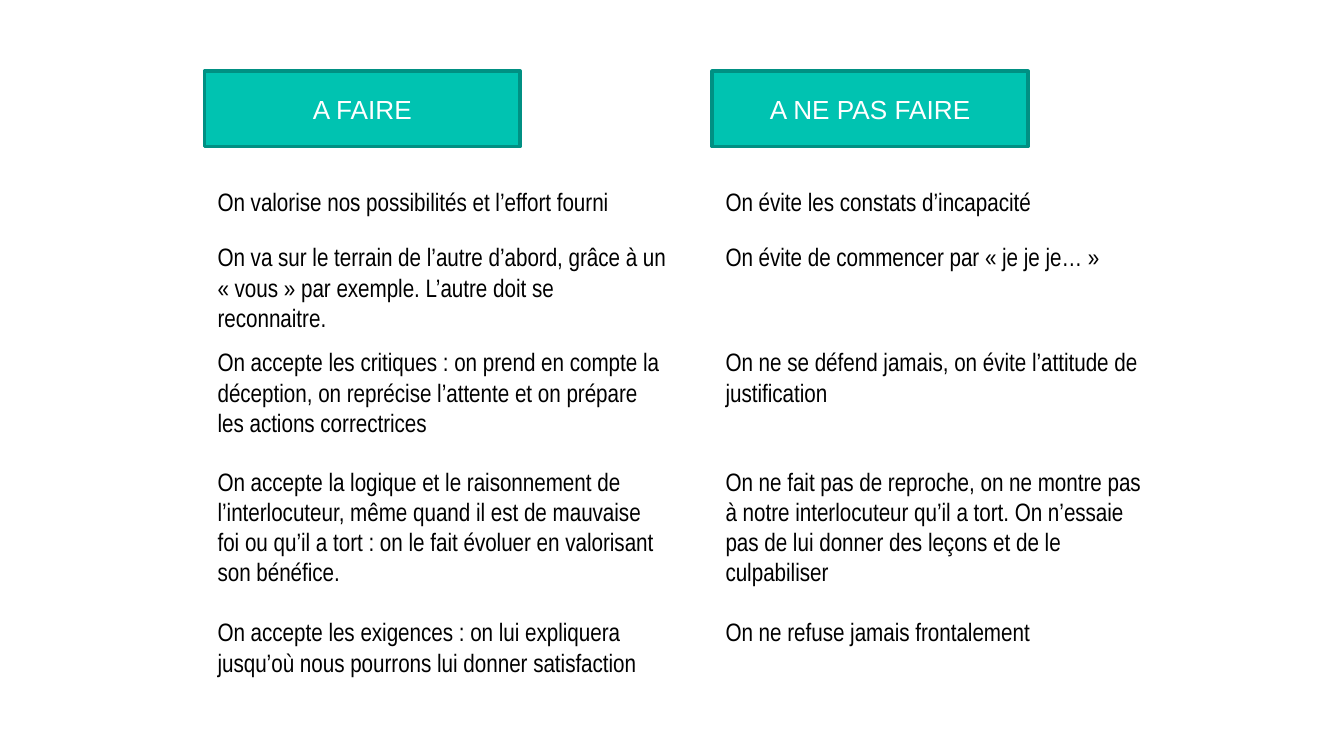
from dataclasses import dataclass

from pptx import Presentation
from pptx import util as u
from pptx.dml.color import RGBColor
from pptx.enum import shapes, text


@dataclass(frozen=True)
class Theme:
    fill: RGBColor = RGBColor(0x00, 0xC3, 0xB1)
    outline: RGBColor = RGBColor(0x00, 0x90, 0x83)
    heading_color: RGBColor = RGBColor(0xFF, 0xFF, 0xFF)
    body_color: RGBColor = RGBColor(0x00, 0x00, 0x00)
    heading_font: str = "Arial"
    body_font: str = "Arial Narrow"
    heading_size: float = 14
    body_size: float = 13.5
    line_height: float = 16.3
    box_padding: float = 24


class Painter:
    def __init__(self, page, theme):
        self.page = page
        self.theme = theme

    def set_text(self, frame, words, name, size, color):
        frame.word_wrap = True
        para = frame.paragraphs[0]
        para.text = words
        para.font.name = name
        para.font.size = u.Pt(size)
        para.font.color.rgb = color
        return para

    def heading(self, left, top, width, height, words):
        theme = self.theme
        box = self.page.shapes.add_shape(
            shapes.MSO_SHAPE.RECTANGLE,
            u.Pt(left), u.Pt(top), u.Pt(width), u.Pt(height))
        box.shadow.inherit = False
        box.fill.solid()
        box.fill.fore_color.rgb = theme.fill
        box.line.color.rgb = theme.outline
        box.line.width = u.Pt(2)
        box.text_frame.vertical_anchor = text.MSO_ANCHOR.MIDDLE
        para = self.set_text(box.text_frame, words, theme.heading_font,
                             theme.heading_size, theme.heading_color)
        para.alignment = text.PP_ALIGN.CENTER

    def advice(self, left, top, width, lines, words):
        """Add a body text box sized for its number of lines."""
        theme = self.theme
        height = theme.box_padding + lines * theme.line_height
        box = self.page.shapes.add_textbox(
            u.Pt(left), u.Pt(top), u.Pt(width), u.Pt(height))
        self.set_text(box.text_frame, words, theme.body_font,
                      theme.body_size, theme.body_color)
        box.text_frame.auto_size = text.MSO_AUTO_SIZE.SHAPE_TO_FIT_TEXT


ROW_TOPS = [96.5, 126, 182.2, 246.2, 326.9]

# Each column: left, text width, heading, then (line count, advice) per row.
COLUMNS = [
    (109.5, 254.9, "A FAIRE", [
        (1, "On valorise nos possibilités et l’effort fourni"),
        (3, "On va sur le terrain de l’autre d’abord, grâce à un « vous » "
            "par exemple. L’autre doit se reconnaitre."),
        (3, "On accepte les critiques : on prend en compte la déception, "
            "on reprécise l’attente et on prépare les actions correctrices"),
        (4, "On accepte la logique et le raisonnement de l’interlocuteur, "
            "même quand il est de mauvaise foi ou qu’il a tort : "
            "on le fait évoluer en valorisant son bénéfice."),
        (2, "On accepte les exigences : on lui expliquera jusqu’où "
            "nous pourrons lui donner satisfaction"),
    ]),
    (381.6, 238.3, "A NE PAS FAIRE", [
        (1, "On évite les constats d’incapacité"),
        (1, "On évite de commencer par « je je je… »"),
        (2, "On ne se défend jamais, on évite l’attitude de justification"),
        (4, "On ne fait pas de reproche, on ne montre pas à notre "
            "interlocuteur qu’il a tort. On n’essaie pas de lui donner "
            "des leçons et de le culpabiliser"),
        (1, "On ne refuse jamais frontalement"),
    ]),
]


def main():
    deck = Presentation()
    deck.slide_width = u.Pt(720)
    deck.slide_height = u.Pt(405)
    page = deck.slides.add_slide(deck.slide_layouts[6])
    painter = Painter(page, Theme())

    for left, width, title, rows in COLUMNS:
        painter.heading(left, 38.2, 169.2, 40.3, title)
        for top, (lines, words) in zip(ROW_TOPS, rows):
            painter.advice(left, top, width, lines, words)

    deck.save("out.pptx")


if __name__ == "__main__":
    main()
